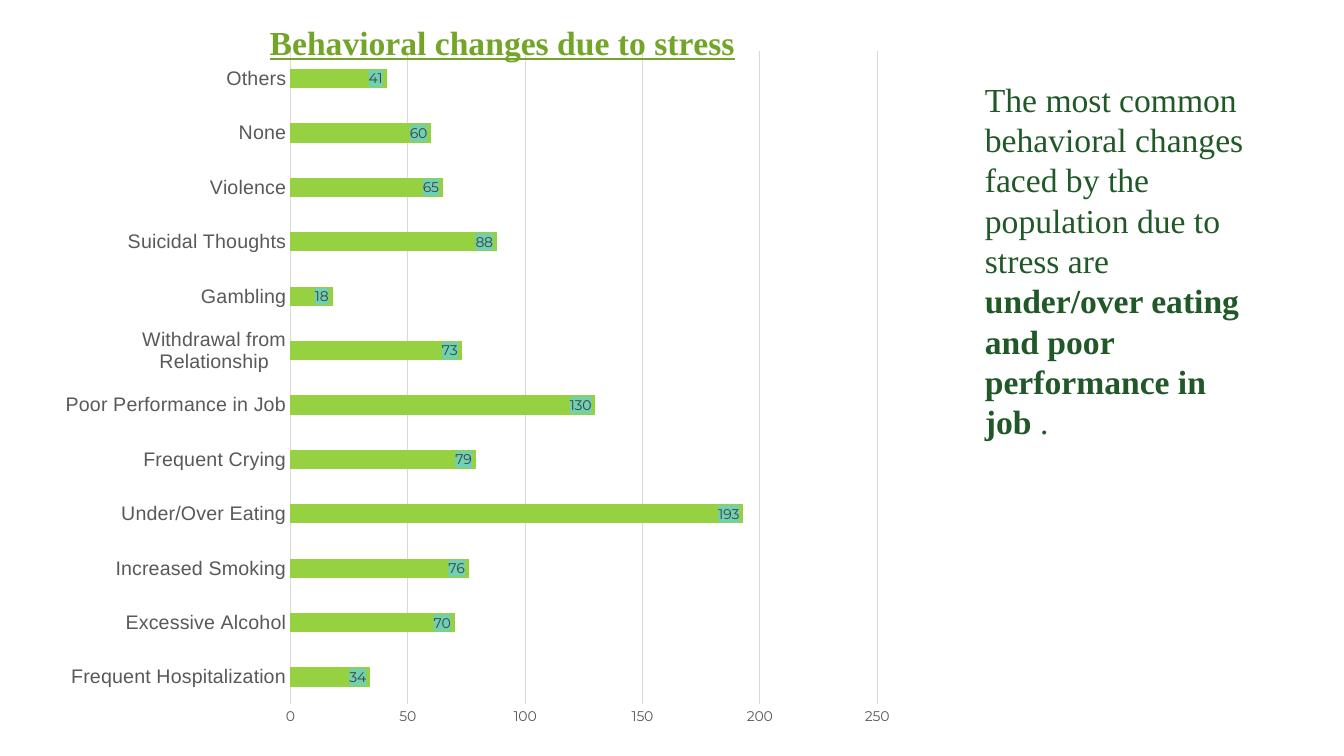
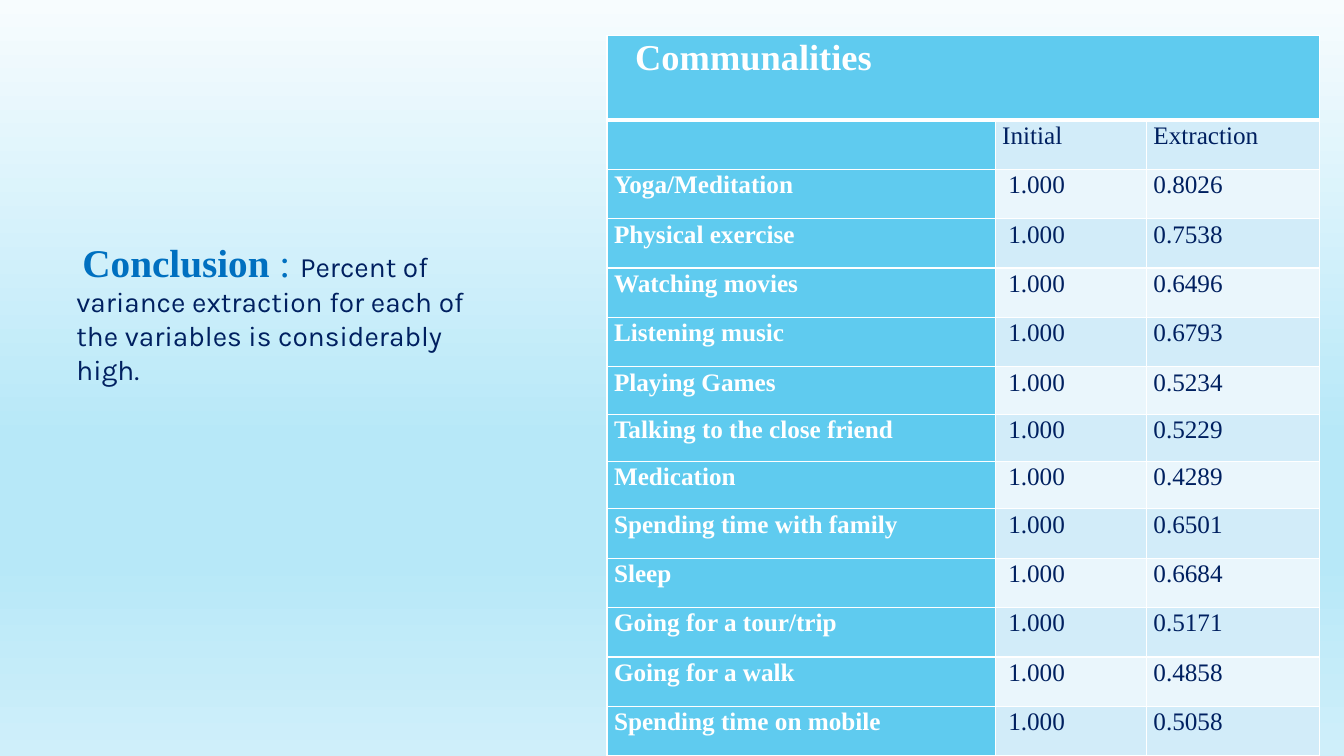
import pptx
import pptx.chart.data
import pptx.dml.color
import pptx.enum.chart
import pptx.enum.text
import pptx.oxml
import pptx.oxml.ns
import pptx.util

Inches, Pt = pptx.util.Inches, pptx.util.Pt
RGB = pptx.dml.color.RGBColor
WHITE = RGB(0xFF, 0xFF, 0xFF)
FOREST = RGB(0x21, 0x58, 0x28)
LEAF = RGB(0x72, 0xA5, 0x28)
LIME = RGB(0x96, 0xD1, 0x41)
TEAL = RGB(0x6F, 0xD0, 0xB2)
GREY = RGB(0x59, 0x59, 0x59)
DARK = RGB(0x40, 0x40, 0x40)
PALE = RGB(0xD9, 0xD9, 0xD9)
NAVY = RGB(0x00, 0x20, 0x60)
BLUE = RGB(0x00, 0x70, 0xC0)
SKY = RGB(0x5F, 0xCB, 0xEF)
BANDS = RGB(0xD2, 0xEC, 0xF9), RGB(0xEA, 0xF6, 0xFC)
FADE = [(0, "F7FCFE"), (58, "B7E8F8"), (74, "B7E8F8"), (100, "CFEFFA")]
SERIF, SANS, BODY, DIGIT = "Times New Roman", "Arial", "Karla", "Montserrat"

CHANGES = [
    ("Frequent Hospitalization", 34), ("Excessive Alcohol", 70),
    ("Increased Smoking", 76), ("Under/Over Eating", 193),
    ("Frequent Crying", 79), ("Poor Performance in Job", 130),
    ("Withdrawal from Relationship", 73), ("Gambling", 18),
    ("Suicidal Thoughts", 88), ("Violence", 65), ("None", 60), ("Others", 41),
]
FINDING = [
    ("The most common behavioral changes faced by the population due to "
     "stress are ", {}),
    ("under/over eating and poor performance in job ", {"bold": True}),
    (".", {}),
]
CONCLUSION = [
    ("Conclusion", {"size": 28, "color": BLUE, "bold": True}),
    (" : ", {"size": 28, "color": BLUE}),
    ("Percent of variance extraction for each of the variables is "
     "considerably high.", {"size": 20, "face": BODY, "color": NAVY}),
]
SCORES = [
    ("Yoga/Meditation", "0.8026"), ("Physical exercise", "0.7538"),
    ("Watching movies", "0.6496"), ("Listening music", "0.6793"),
    ("Playing Games", "0.5234"), ("Talking to the close friend", "0.5229"),
    ("Medication", "0.4289"), ("Spending time with family", "0.6501"),
    ("Sleep", "0.6684"), ("Going for a tour/trip", "0.5171"),
    ("Going for a walk", "0.4858"), ("Spending time on mobile", "0.5058"),
]
ROWS = ([("Communalities", "", ""), ("", "Initial", "Extraction")]
        + [(name, "1.000", score) for name, score in SCORES])
WIDTHS = [3.85, 1.5, 1.72]
HEIGHTS = [0.84] + [0.49] * 5 + [0.47] * 3 + [0.49] * 5


def style(font, size=24, color=FOREST, face=SERIF, bold=False, under=False):
    font.size, font.name = Pt(size), face
    font.bold, font.underline = bold, under
    font.color.rgb = color


def write(para, text, **form):
    run = para.add_run()
    run.text = text
    style(run.font, **form)


def parse(xml, kind):
    """Read an XML fragment whose prefix is kind or a."""
    head, tail = xml.split(">", 1)
    spaces = pptx.oxml.ns.nsdecls(*sorted({kind, "a"}))
    return pptx.oxml.parse_xml(f"{head} {spaces}>{tail}")


def add_box(slide, left, top, width, height, runs, indent=0):
    box = slide.shapes.add_textbox(*map(Inches, (left, top, width, height)))
    box.text_frame.word_wrap = True
    para = box.text_frame.paragraphs[0]
    if indent:
        para._p.get_or_add_pPr().set("indent", str(Inches(indent)))
    for text, form in runs:
        write(para, text, **form)


def place(part, x, y, size=None):
    """Fix a chart part at fractions of the chart area."""
    spots = {"xMode": "edge", "yMode": "edge", "x": x, "y": y}
    if size:
        spots = {"layoutTarget": "inner", **spots, "w": size[0], "h": size[1]}
    body = "".join(f'<c:{key} val="{val}"/>' for key, val in spots.items())
    for old in part.findall(pptx.oxml.ns.qn("c:layout")):
        part.remove(old)
    layout = parse("<c:layout><c:manualLayout>" + body
                   + "</c:manualLayout></c:layout>", "c")
    text = part.find(pptx.oxml.ns.qn("c:tx"))
    if text is None:
        part.insert(0, layout)
    else:
        text.addnext(layout)


def add_bars(slide):
    kinds = pptx.enum.chart
    data = pptx.chart.data.CategoryChartData()
    data.categories = [name for name, _ in CHANGES]
    data.add_series("Series 1", [count for _, count in CHANGES])
    chart = slide.shapes.add_chart(
        kinds.XL_CHART_TYPE.BAR_CLUSTERED, Inches(0.41), Inches(0),
        Inches(8.82), Inches(7.28), data).chart
    chart.has_legend = False
    style(chart.font, size=10, face=BODY, color=GREY)
    chart.has_title = True
    write(chart.chart_title.text_frame.paragraphs[0],
          "Behavioral changes due to stress",
          color=LEAF, bold=True, under=True)
    place(chart.chart_title._element, 0.25, 0.02)
    place(chart._chartSpace.chart.plotArea, 0.28, 0.07, (0.66, 0.89))

    names, scale = chart.category_axis, chart.value_axis
    for axis, size, face in ((names, 14, SANS), (scale, 10, DIGIT)):
        axis.major_tick_mark = kinds.XL_TICK_MARK.NONE
        axis.minor_tick_mark = kinds.XL_TICK_MARK.NONE
        style(axis.tick_labels.font, size=size, face=face, color=GREY)
    scale.minimum_scale, scale.maximum_scale = 0, 250
    scale.major_unit = 50
    scale.format.line.fill.background()
    for line in (names.format.line, scale.major_gridlines.format.line):
        line.color.rgb = PALE
        line.width = Pt(0.75)

    plot = chart.plots[0]
    plot.gap_width = 182
    plot.vary_by_categories = False
    bars = plot.series[0]
    bars.format.fill.solid()
    bars.format.fill.fore_color.rgb = LIME
    labels = bars.data_labels
    labels.show_value = True
    labels.position = kinds.XL_LABEL_POSITION.INSIDE_END
    style(labels.font, size=10, face=DIGIT, color=DARK)
    labels._element.find(pptx.oxml.ns.qn("c:txPr")).addprevious(parse(
        f'<c:spPr><a:solidFill><a:srgbClr val="{TEAL}"/></a:solidFill>'
        "</c:spPr>", "c"))


def fade(slide):
    fill = slide.background.fill
    fill.gradient()
    fill.gradient_angle = 270
    stops = slide.background._cSld.find(".//" + pptx.oxml.ns.qn("a:gsLst"))
    for old in list(stops):
        stops.remove(old)
    for spot, color in FADE:
        stops.append(parse(f'<a:gs pos="{spot * 1000}">'
                           f'<a:srgbClr val="{color}"/></a:gs>', "a"))


def edge(cell, top=1, base=1):
    """Draw white cell borders; top and base are widths in points."""
    props = cell._tc.get_or_add_tcPr()
    for side, width in zip("LRTB", (1, 1, top, base)):
        tag = f"a:ln{side}"
        props.append(parse(
            f'<{tag} w="{Pt(width)}"><a:solidFill><a:srgbClr val="{WHITE}"/>'
            f"</a:solidFill></{tag}>", "a"))


def add_scores(slide):
    table = slide.shapes.add_table(
        len(ROWS), len(WIDTHS), Inches(6.02), Inches(0.35),
        Inches(sum(WIDTHS)), Inches(sum(HEIGHTS))).table
    for col, width in zip(table.columns, WIDTHS):
        col.width = Inches(width)
    for row, height in zip(table.rows, HEIGHTS):
        row.height = Inches(height)
    table.cell(0, 0).merge(table.cell(0, 2))
    for r, row in enumerate(ROWS):
        for c, text in enumerate(row):
            cell = table.cell(r, c)
            head = r == 0 or c == 0
            inset = 0.28 if r == 0 else 0.13 if r > 1 and c == 1 else 0.07
            cell.margin_left, cell.margin_right = Inches(inset), Inches(0.07)
            cell.margin_top = cell.margin_bottom = 0
            edge(cell, 3 if r == 1 else 1, 3 if r == 0 else 1)
            cell.fill.solid()
            cell.fill.fore_color.rgb = SKY if head else BANDS[(r - 1) % 2]
            if text:
                para = cell.text_frame.paragraphs[0]
                para.line_spacing = 1.07
                write(para, text, size=26 if r == 0 else 18, bold=head,
                      color=WHITE if head else NAVY)


def main():
    deck = pptx.Presentation()
    deck.slide_width, deck.slide_height = Inches(13.33), Inches(7.5)
    stress, close = [deck.slides.add_slide(deck.slide_layouts[6])
                     for _ in range(2)]
    add_box(stress, 9.67, 0.73, 2.82, 3.74, FINDING)
    add_bars(stress)
    fade(close)
    add_scores(close)
    add_box(close, 0.66, 2.31, 4.43, 1.88, CONCLUSION, indent=0.06)
    deck.save("out.pptx")


if __name__ == "__main__":
    main()
